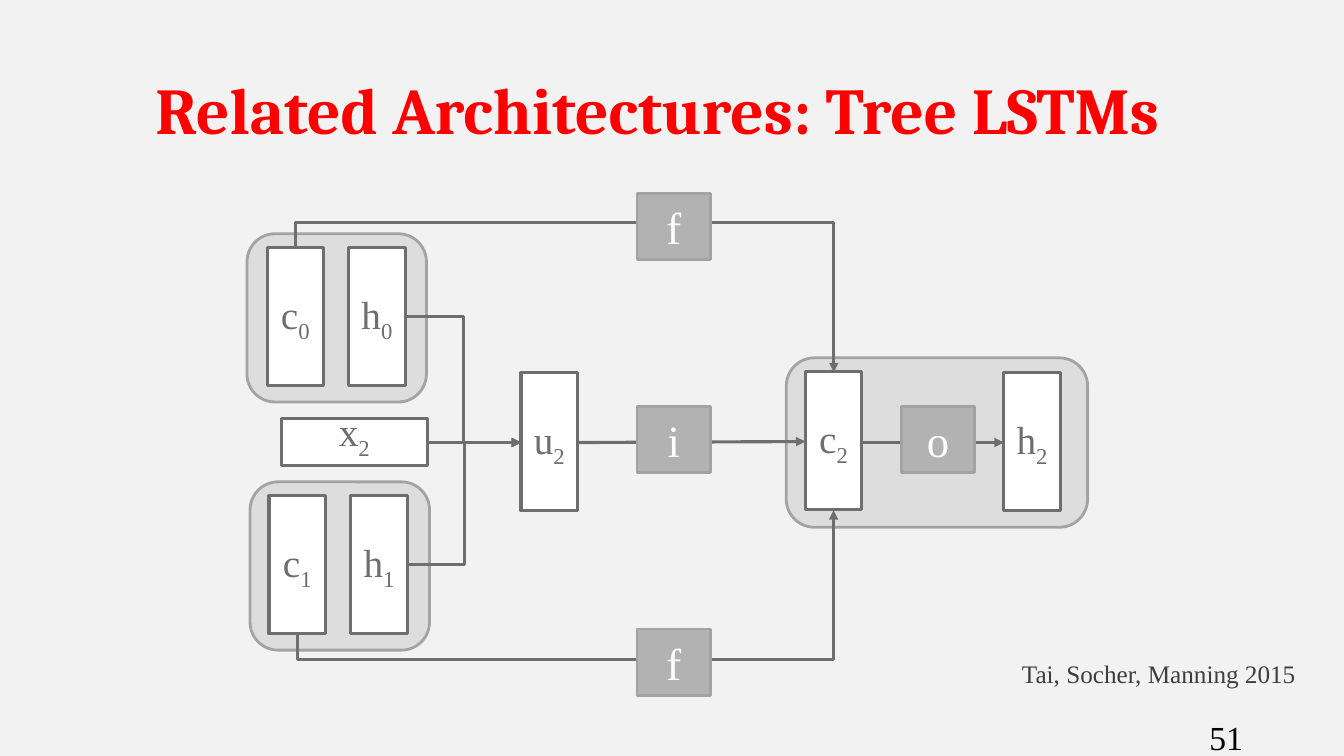
import pptx
import pptx.util
import pptx.dml.color
import pptx.enum.shapes
import pptx.enum.text
import pptx.oxml.ns
import lxml.etree

Pt = pptx.util.Pt
Shape = pptx.enum.shapes.MSO_SHAPE
Link = pptx.enum.shapes.MSO_CONNECTOR
Align = pptx.enum.text.PP_ALIGN
Anchor = pptx.enum.text.MSO_ANCHOR
qn = pptx.oxml.ns.qn


def paint(color, code):
    if hasattr(color, "solid"):
        color.solid()
        color = color.fore_color
    color.rgb = pptx.dml.color.RGBColor.from_string(code)


def block(kind, left, top, width, height, fill, edge, weight):
    shape = slide.shapes.add_shape(kind, Pt(left), Pt(top), Pt(width), Pt(height))
    shape.shadow.inherit = False
    paint(shape.fill, fill)
    paint(shape.line.fill, edge)
    shape.line.width = Pt(weight)
    return shape


deck = pptx.Presentation()
deck.slide_width = Pt(960)
deck.slide_height = Pt(540)
slide = deck.slides.add_slide(deck.slide_layouts[6])
paint(slide.background.fill, "F2F2F2")

labels = [
    ("Related Architectures: Tree LSTMs", 26.6, 41, 885.6, 73.4, 46.7, "Cambria", "FF0000"),
    ("51", 856.8, 508.3, 103, 28.8, 24, "Times New Roman", "000000"),
    ("Tai, Socher, Manning 2015", 722.9, 466.6, 221.8, 28.8, 18, "Times New Roman", "3E3E3E"),
]
for text, left, top, width, height, size, face, color in labels:
    box = slide.shapes.add_textbox(Pt(left), Pt(top), Pt(width), Pt(height))
    frame = box.text_frame
    frame.word_wrap = True
    frame.text = text
    font = frame.paragraphs[0].runs[0].font
    font.size = Pt(size)
    font.name = face
    paint(font.color, color)
    if face == "Cambria":
        font.bold = True
        frame.vertical_anchor = Anchor.MIDDLE
        frame.paragraphs[0].alignment = Align.CENTER

pods = [
    (176.4, 167, 128.2, 120.2),
    (178.6, 344.2, 128.2, 120.2),
    (561.6, 255.6, 215.3, 121),
]
for pod in pods:
    block(Shape.ROUNDED_RECTANGLE, *pod, "DDDDDD", "A3A3A3", 2)

tall = (40.3, 98.6)
cells = [
    ("c", "0", 190.8, 177.1, *tall),
    ("h", "0", 249.1, 177.1, *tall),
    ("c", "1", 192.2, 354.2, *tall),
    ("h", "1", 250.6, 354.2, *tall),
    ("x", "2", 200.9, 298.8, 104.4, 33.8),
    ("u", "2", 372.2, 266.4, *tall),
    ("c", "2", 575.3, 265.7, *tall),
    ("h", "2", 717.1, 266.4, *tall),
]
for name, index, left, top, width, height in cells:
    cell = block(Shape.RECTANGLE, left, top, width, height, "FFFFFF", "6E6E6E", 2.25)
    frame = cell.text_frame
    frame.margin_left = frame.margin_right = 0
    frame.vertical_anchor = Anchor.BOTTOM if name == "x" else Anchor.MIDDLE
    line = frame.paragraphs[0]
    line.alignment = Align.CENTER
    for part in (name, index):
        run = line.add_run()
        run.text = part
        run.font.size = Pt(28)
        run.font.name = "Times New Roman"
        paint(run.font.color, "6E6E6E")
    run.font._element.set("baseline", "-25000")

wires = [
    (Link.ELBOW, 289.4, 226.4, 372.2, 316.1, 0),
    (Link.ELBOW, 290.9, 403.5, 372.2, 316.1, 0),
    (Link.STRAIGHT, 305.3, 316.1, 372.2, 316.1, 0),
    (Link.ELBOW, 447.5, 29.2, 358.9, 413.9, 270),
    (Link.ELBOW, 448.2, 600.3, 359.6, 217.3, 90),
    (Link.STRAIGHT, 615.6, 316.1, 717.1, 316.1, 0),
    (Link.STRAIGHT, 412.5, 316.1, 575.3, 315.4, 0),
]
for kind, x1, y1, x2, y2, turn in wires:
    wire = slide.shapes.add_connector(kind, Pt(x1), Pt(y1), Pt(x2), Pt(y2))
    paint(wire.line.fill, "6E6E6E")
    wire.line.width = Pt(2.25)
    lxml.etree.SubElement(wire.line._get_or_add_ln(), qn("a:tailEnd"), type="triangle")
    props = wire._element.spPr
    lxml.etree.SubElement(props, qn("a:effectLst"))
    if turn:
        props.find(qn("a:xfrm")).set("rot", str(turn * 60000))
        bends = props.find(qn("a:prstGeom")).find(qn("a:avLst"))
        lxml.etree.SubElement(bends, qn("a:gd"), name="adj1", fmla="val -20400")

gates = [("f", 455, 138.2), ("i", 455, 290.2), ("o", 643.7, 290.2), ("f", 455, 449.3)]
for name, left, top in gates:
    gate = block(Shape.RECTANGLE, left, top, 52.6, 47.5, "B2B2B2", "A3A3A3", 2)
    frame = gate.text_frame
    frame.text = name
    frame.vertical_anchor = Anchor.MIDDLE
    frame.paragraphs[0].alignment = Align.CENTER
    font = frame.paragraphs[0].runs[0].font
    font.size = Pt(32)
    font.name = "Times New Roman"
    paint(font.color, "FFFFFF")

deck.save("out.pptx")
